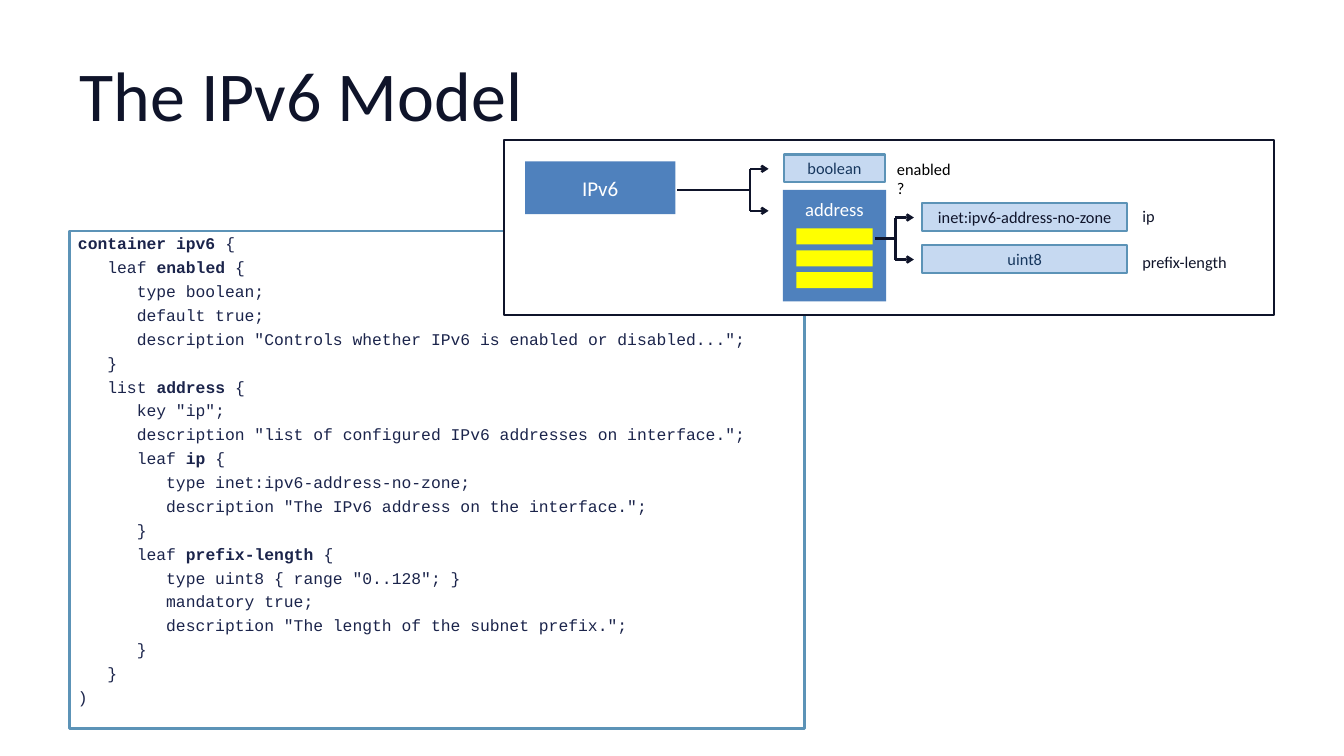
from dataclasses import dataclass
from typing import Optional

from lxml import etree
from pptx import Presentation
from pptx.dml.color import RGBColor
from pptx.enum.shapes import MSO_CONNECTOR, MSO_SHAPE
from pptx.enum.text import MSO_ANCHOR, PP_ALIGN
from pptx.oxml.ns import qn
from pptx.util import Pt

PX = 9144
CODE_INDENT = 35
RECTANGLE = MSO_SHAPE.RECTANGLE
STRAIGHT = MSO_CONNECTOR.STRAIGHT
TOP, MIDDLE = MSO_ANCHOR.TOP, MSO_ANCHOR.MIDDLE
LEFT, CENTER = PP_ALIGN.LEFT, PP_ALIGN.CENTER
COLORS = {
    "ink": "0F142A", "code": "1B244B", "edge": "5C93B7", "node": "4F81BD",
    "type": "C6D9F1", "type_text": "17375E", "row": "FFFF00",
    "white": "FFFFFF", "black": "000000",
}


@dataclass
class Box:
    left: int
    top: int
    width: int
    height: int
    fill: Optional[str] = None
    line: Optional[str] = None
    weight: float = 2
    text: str = ""
    size: int = 14
    color: str = "ink"
    anchor: MSO_ANCHOR = MIDDLE


@dataclass
class Label:
    left: int
    top: int
    width: int
    text: str
    color: str = "ink"


@dataclass
class Fork:
    start: int
    spine: int
    tip: int
    top: int
    bottom: int


@dataclass
class CodeLine:
    depth: int
    before: str
    name: str = ""
    after: str = ""


CODE_BOX = Box(83, 275, 875, 592, line="edge", weight=2.25)
DIAGRAM = [
    Box(600, 167, 917, 208, "white", "ink"),
    Box(625, 192, 179, 63, "node", text="IPv6", size=18, color="white"),
    Box(932, 226, 123, 133, "node", text="address", size=16, color="white", anchor=TOP),
    *[Box(948, 272 + 26 * row, 91, 19, "row") for row in range(3)],
    Box(933, 184, 121, 33, "type", "edge", text="boolean", color="type_text"),
    Box(1098, 242, 244, 33, "type", "edge", text="inet:ipv6-address-no-zone"),
    Box(1098, 292, 244, 33, "type", "edge", text="uint8", color="type_text"),
]
LABELS = [
    Label(1058, 184, 88, "enabled?", "black"),
    Label(1350, 240, 175, "ip"),
    Label(1350, 295, 175, "prefix-length"),
]
FORKS = [Fork(806, 893, 915, 201, 251), Fork(1042, 1066, 1088, 259, 309)]
CODE = [
    CodeLine(0, "", "container ipv6 ", "{"),
    CodeLine(1, "leaf ", "enabled", " {"),
    CodeLine(2, "type boolean;"),
    CodeLine(2, "default true;"),
    CodeLine(2, 'description "Controls whether IPv6 is enabled or disabled...";'),
    CodeLine(1, "}"),
    CodeLine(1, "list ", "address ", "{"),
    CodeLine(2, 'key "ip";'),
    CodeLine(2, 'description "list of configured IPv6 addresses on interface.";'),
    CodeLine(2, "leaf ", "ip", " {"),
    CodeLine(3, "type inet:ipv6-address-no-zone;"),
    CodeLine(3, 'description "The IPv6 address on the interface.";'),
    CodeLine(2, "}"),
    CodeLine(2, "leaf ", "prefix-length ", "{"),
    CodeLine(3, 'type uint8 { range "0..128"; }'),
    CodeLine(3, "mandatory true;"),
    CodeLine(3, 'description "The length of the subnet prefix.";'),
    CodeLine(2, "}"),
    CodeLine(1, "}"),
    CodeLine(0, ")"),
]


def rgb(name: str) -> RGBColor:
    return RGBColor.from_string(COLORS[name])


def style(paragraph, size: int, color: str, align=LEFT, font: str = "Calibri") -> None:
    paragraph.alignment = align
    paragraph.font.name = font
    paragraph.font.size = Pt(size)
    paragraph.font.color.rgb = rgb(color)


def draw_box(page, box: Box):
    shape = page.shapes.add_shape(
        RECTANGLE, box.left * PX, box.top * PX, box.width * PX, box.height * PX)
    shape.shadow.inherit = False
    if box.fill:
        shape.fill.solid()
        shape.fill.fore_color.rgb = rgb(box.fill)
    else:
        shape.fill.background()
    if box.line:
        shape.line.color.rgb = rgb(box.line)
        shape.line.width = Pt(box.weight)
    else:
        shape.line.fill.background()
    if box.text:
        frame = shape.text_frame
        frame.vertical_anchor = box.anchor
        frame.margin_top = (9 if box.anchor == TOP else 5) * PX
        frame.text = box.text
        style(frame.paragraphs[0], box.size, box.color, CENTER)
    return shape


def draw_code(page) -> None:
    frame = draw_box(page, CODE_BOX).text_frame
    frame.vertical_anchor = MIDDLE
    frame.margin_bottom = 30 * PX
    for index, line in enumerate(CODE):
        paragraph = frame.add_paragraph() if index else frame.paragraphs[0]
        style(paragraph, 14, "code", font="Courier New")
        paragraph.line_spacing = 1.1
        paragraph.space_before = paragraph.space_after = Pt(1)
        paragraph._p.get_or_add_pPr().set("marL", str(line.depth * CODE_INDENT * PX))
        for text, bold in ((line.before, False), (line.name, True), (line.after, False)):
            if text:
                span = paragraph.add_run()
                span.text = text
                span.font.bold = bold


def draw_label(page, label: Label) -> None:
    box = page.shapes.add_textbox(label.left * PX, label.top * PX, label.width * PX, 34 * PX)
    box.text_frame.word_wrap = True
    box.text_frame.text = label.text
    style(box.text_frame.paragraphs[0], 14, label.color)


def draw_line(page, x1: int, y1: int, x2: int, y2: int, arrow: bool = False) -> None:
    line = page.shapes.add_connector(STRAIGHT, x1 * PX, y1 * PX, x2 * PX, y2 * PX)
    line.line.color.rgb = rgb("ink")
    line.line.width = Pt(2)
    if arrow:
        etree.SubElement(line.line._get_or_add_ln(), qn("a:tailEnd"), type="arrow")
    etree.SubElement(line._element.spPr, qn("a:effectLst"))


def draw_fork(page, fork: Fork) -> None:
    middle = (fork.top + fork.bottom) // 2
    for y in (fork.top, fork.bottom):
        draw_line(page, fork.spine, y, fork.tip, y, arrow=True)
    draw_line(page, fork.spine, fork.top, fork.spine, fork.bottom)
    draw_line(page, fork.start, middle, fork.spine, middle)


def draw_title(page) -> None:
    title = page.shapes.title
    title.left, title.top, title.width, title.height = 80 * PX, 36 * PX, 1440 * PX, 150 * PX
    frame = title.text_frame
    frame.margin_left = frame.margin_right = 15 * PX
    frame.margin_top = frame.margin_bottom = 8 * PX
    frame.vertical_anchor = MIDDLE
    frame.text = "The IPv6 Model"
    style(frame.paragraphs[0], 60, "ink")


def main() -> None:
    """Build the IPv6 model slide and save it."""
    deck = Presentation()
    deck.slide_width, deck.slide_height = 1600 * PX, 900 * PX
    page = deck.slides.add_slide(deck.slide_layouts[5])
    draw_title(page)
    draw_code(page)
    for box in DIAGRAM:
        draw_box(page, box)
    for fork in FORKS:
        draw_fork(page, fork)
    for label in LABELS:
        draw_label(page, label)
    deck.save("out.pptx")


if __name__ == "__main__":
    main()
